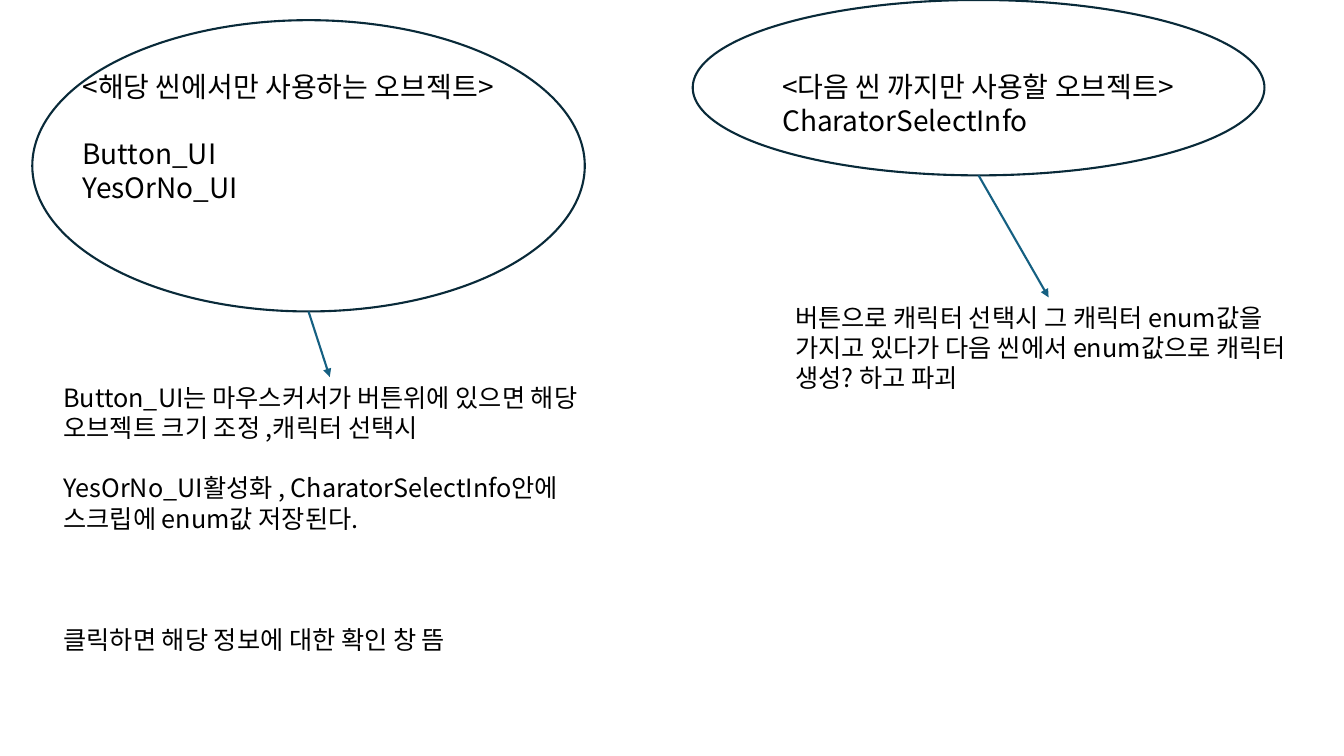
from dataclasses import dataclass

from lxml import etree
from pptx import Presentation
from pptx.dml.color import RGBColor
from pptx.enum.shapes import MSO_CONNECTOR, MSO_SHAPE
from pptx.oxml.ns import qn
from pptx.util import Inches, Pt

OVAL = MSO_SHAPE.OVAL
LINE = MSO_CONNECTOR.STRAIGHT
FONT = "Noto Sans CJK KR"
WIDE, HIGH = Inches(13.33), Inches(7.5)
TOP = 0


@dataclass
class Box:
    """Left, top, width and height in percent of the slide."""
    left: float
    top: float
    width: float
    height: float

    def emu(self) -> list[int]:
        return [round(part * full / 100) for part, full in
                zip((self.left, self.top, self.width, self.height),
                    (WIDE, HIGH, WIDE, HIGH))]


@dataclass
class Para:
    text: str
    gap: int = 0  # lines left free above


@dataclass
class Group:
    oval: Box
    head: Box
    names: list[Para]
    note: Box
    notes: list[Para]


GROUPS = [
    Group(
        Box(2.4, 2.67, 41.11, 38.53),
        Box(5.4, 8.53, 36.01, 28.27),
        [Para("<해당 씬에서만 사용하는 오브젝트>"), Para("Button_UI", 1),
         Para("YesOrNo_UI")],
        Box(3.98, 49.87, 41.11, 37.73),
        [Para("Button_UI는 마우스커서가 버튼위에 있으면 해당 오브젝트 크기 조정 ,캐릭터 선택시"),
         Para("YesOrNo_UI활성화 , CharatorSelectInfo안에 스크립에 enum값 저장된다.", 1),
         Para("클릭하면 해당 정보에 대한 확인 창 뜸", 3)],
    ),
    Group(
        Box(51.54, 0, 42.54, 23.2),
        Box(57.46, 8.53, 35.33, 10.27),
        [Para("<다음 씬 까지만 사용할 오브젝트>"), Para("CharatorSelectInfo")],
        Box(58.44, 39.33, 39.16, 13.47),
        [Para("버튼으로 캐릭터 선택시 그 캐릭터 enum값을 가지고 있다가 "
              "다음 씬에서 enum값으로 캐릭터 생성? 하고 파괴")],
    ),
]


def color(code: str) -> RGBColor:
    return RGBColor.from_string(code)


def stroke(line, code: str) -> None:
    line.color.rgb = color(code)
    line.width = Pt(1.5)


def write(slide, box: Box, paras: list[Para], *, size: int,
          code: str = "000000"):
    shape = slide.shapes.add_textbox(*box.emu())
    frame = shape.text_frame
    frame.word_wrap = True
    pitch = 1.2 * size
    for i, para in enumerate(paras):
        p = frame.add_paragraph() if i else frame.paragraphs[0]
        p.line_spacing = Pt(pitch)
        p.space_before = Pt(para.gap * pitch)
        run = p.add_run()
        run.text = para.text
        run.font.size = Pt(size)
        run.font.name = FONT
        run.font.color.rgb = color(code)
        etree.SubElement(run.font._element, qn("a:ea"), typeface=FONT)
    return shape


def ring(slide, box: Box):
    shape = slide.shapes.add_shape(OVAL, *box.emu())
    shape.shadow.inherit = False
    shape.fill.background()
    stroke(shape.line, "092A39")
    return shape


def arrow(slide, oval, note) -> None:
    """Lead from the foot of the oval to the top of the note."""
    x, y = oval.left + oval.width // 2, oval.top + oval.height
    link = slide.shapes.add_connector(LINE, x, y, note.left, note.top)
    link.end_connect(note, TOP)
    stroke(link.line, "156082")
    props = link._element.spPr
    etree.SubElement(props.find(qn("a:ln")), qn("a:tailEnd"), type="triangle")
    etree.SubElement(props, qn("a:effectLst"))


def main() -> None:
    deck = Presentation()
    deck.slide_width, deck.slide_height = WIDE, HIGH
    slide = deck.slides.add_slide(deck.slide_layouts[6])
    for group in GROUPS:
        write(slide, group.head, group.names, size=20)
        note = write(slide, group.note, group.notes, size=18)
        oval = ring(slide, group.oval)
        arrow(slide, oval, note)
    deck.save("out.pptx")


if __name__ == "__main__":
    main()
